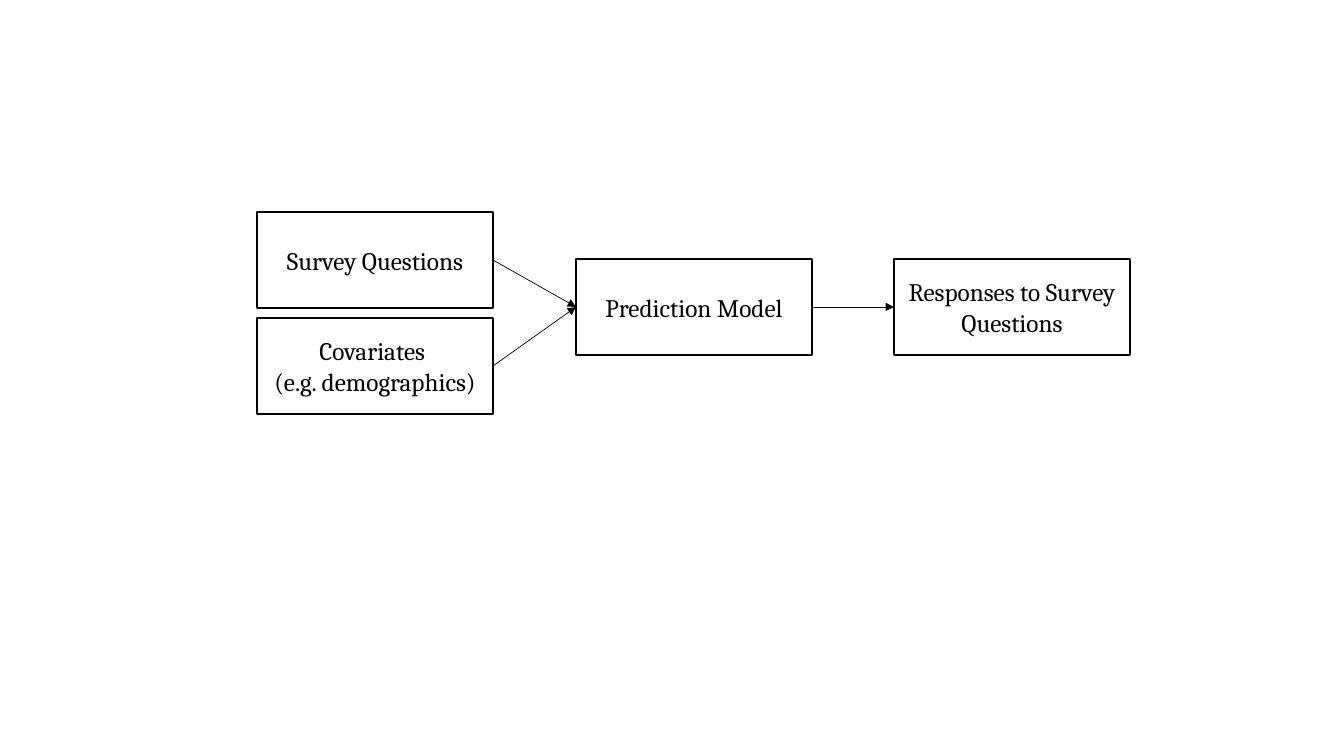
from dataclasses import dataclass

from lxml.etree import SubElement
from pptx import Presentation
from pptx.dml.color import RGBColor
from pptx.enum.shapes import MSO_CONNECTOR, MSO_SHAPE
from pptx.enum.text import MSO_ANCHOR, PP_ALIGN
from pptx.oxml.ns import qn
from pptx.shapes.autoshape import Shape
from pptx.slide import Slide
from pptx.util import Emu, Pt

SCALE = 914400 / 100.8
COLORS = {"ink": "000000"}
FONT = "Cambria"
WIDTH, HEIGHT = 236, 96
LEFT, STEP = 257, 318.5
RIGHT_SITE, LEFT_SITE = 3, 1


@dataclass(frozen=True)
class Box:
    key: str
    column: int
    top: int
    lines: tuple[str, ...]


@dataclass(frozen=True)
class Arrow:
    start: str
    end: str


BOXES = [
    Box("survey", 0, 212, ("Survey Questions",)),
    Box("covariates", 0, 318, ("Covariates ", "(e.g. demographics)")),
    Box("model", 1, 259, ("Prediction Model",)),
    Box("responses", 2, 259, ("Responses to Survey Questions",)),
]
ARROWS = [
    Arrow("survey", "model"),
    Arrow("covariates", "model"),
    Arrow("model", "responses"),
]


def px(length: float) -> Emu:
    return Emu(round(length * SCALE))


def ink() -> RGBColor:
    return RGBColor.from_string(COLORS["ink"])


def draw_box(slide: Slide, box: Box) -> Shape:
    left = round(LEFT + box.column * STEP)
    shape = slide.shapes.add_shape(
        MSO_SHAPE.RECTANGLE, px(left), px(box.top), px(WIDTH), px(HEIGHT)
    )
    shape.shadow.inherit = False
    shape.fill.background()
    shape.line.color.rgb = ink()
    shape.line.width = Pt(1)
    frame = shape.text_frame
    frame.word_wrap = True
    frame.vertical_anchor = MSO_ANCHOR.MIDDLE
    for index, line in enumerate(box.lines):
        para = frame.add_paragraph() if index else frame.paragraphs[0]
        para.alignment = PP_ALIGN.CENTER
        run = para.add_run()
        run.text = line
        run.font.name = FONT
        run.font.size = Pt(18)
        run.font.color.rgb = ink()
    return shape


def draw_arrow(slide: Slide, start: Shape, end: Shape) -> None:
    link = slide.shapes.add_connector(
        MSO_CONNECTOR.STRAIGHT,
        start.left + start.width,
        start.top + start.height // 2,
        end.left,
        end.top + end.height // 2,
    )
    link.begin_connect(start, RIGHT_SITE)
    link.end_connect(end, LEFT_SITE)
    link.line.color.rgb = ink()
    link.line.width = Pt(0.5)
    SubElement(link.line._get_or_add_ln(), qn("a:tailEnd"), type="triangle")
    SubElement(link._element.spPr, qn("a:effectLst"))


deck = Presentation()
deck.slide_width, deck.slide_height = px(1344), px(756)
slide = deck.slides.add_slide(deck.slide_layouts[6])
shapes = {box.key: draw_box(slide, box) for box in BOXES}
for arrow in ARROWS:
    draw_arrow(slide, shapes[arrow.start], shapes[arrow.end])
deck.save("out.pptx")
